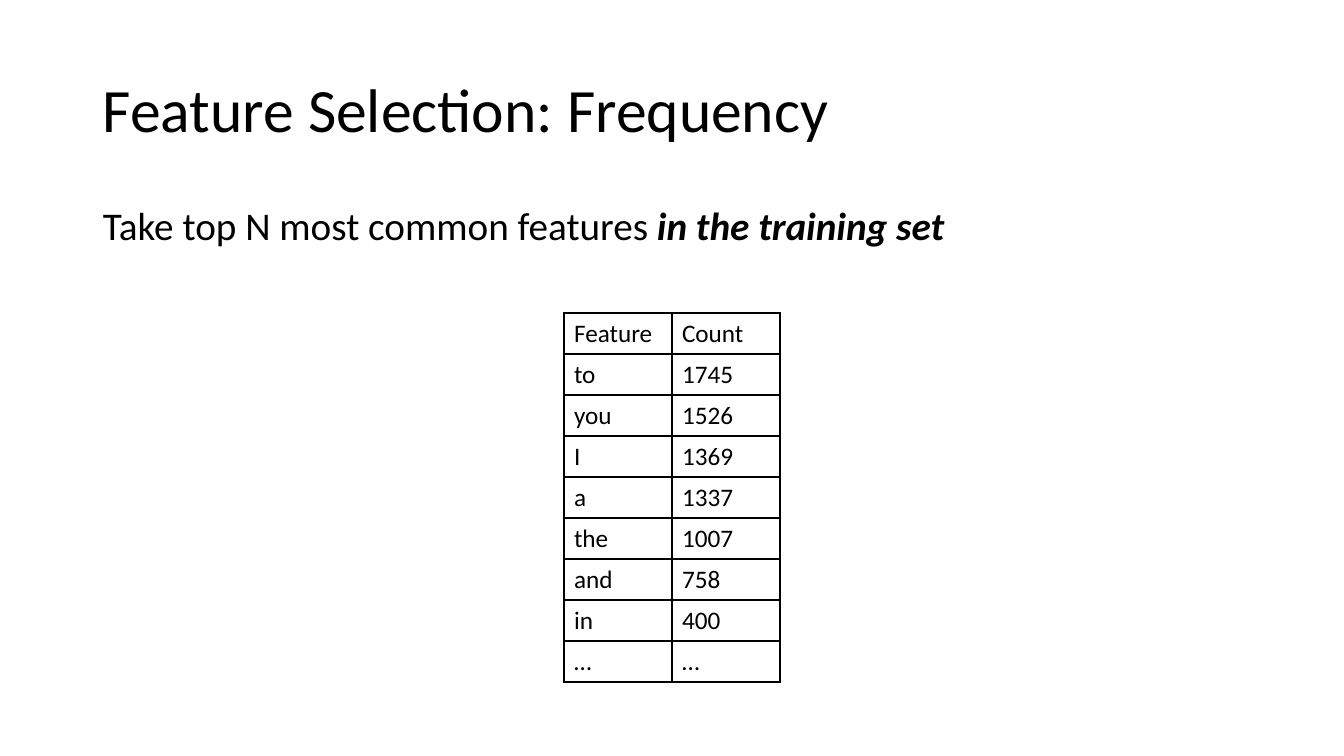
from lxml.etree import SubElement
from pptx import Presentation
from pptx.dml.color import RGBColor
from pptx.enum.text import MSO_ANCHOR
from pptx.oxml.ns import qn
from pptx.util import Emu, Pt

SCALE = 914400 / 100.8
FONT = "Calibri"
BLACK = "000000"
ROWS = [
    ("Feature", "Count"),
    ("to", "1745"),
    ("you", "1526"),
    ("I", "1369"),
    ("a", "1337"),
    ("the", "1007"),
    ("and", "758"),
    ("in", "400"),
    ("…", "…"),
]


def px(size):
    return Emu(round(size * SCALE))


def color(code):
    return RGBColor.from_string(code)


def style(run, size, strong=False):
    font = run.font
    font.name = FONT
    font.size = Pt(size)
    font.color.rgb = color(BLACK)
    if strong:
        font.bold = font.italic = True


def add_text(slide, box, parts, size, anchor, before=0):
    frame = slide.shapes.add_textbox(*map(px, box)).text_frame
    frame.word_wrap = True
    frame.vertical_anchor = anchor
    para = frame.paragraphs[0]
    para.line_spacing = 0.9
    para.space_before = Pt(before)
    for text, strong in parts:
        run = para.add_run()
        run.text = text
        style(run, size, strong)


def add_border(cell):
    props = cell._tc.get_or_add_tcPr()
    for side in ("lnL", "lnR", "lnT", "lnB"):
        line = SubElement(props, qn(f"a:{side}"), w=str(Pt(1)))
        fill = SubElement(line, qn("a:solidFill"))
        SubElement(fill, qn("a:srgbClr"), val=BLACK)


def add_grid(slide, left, top, width, height, rows, size):
    count = len(rows[0])
    box = (left, top, width * count, height * len(rows))
    table = slide.shapes.add_table(len(rows), count, *map(px, box)).table
    table.first_row = table.horz_banding = False
    for col in table.columns:
        col.width = px(width)
    for row, texts in zip(table.rows, rows):
        row.height = px(height)
        for cell, text in zip(row.cells, texts):
            cell.text_frame.text = text
            style(cell.text_frame.paragraphs[0].runs[0], size)
            add_border(cell)
            cell.fill.background()


def main():
    deck = Presentation()
    deck.slide_width, deck.slide_height = px(1344), px(756)
    slide = deck.slides.add_slide(deck.slide_layouts[6])
    add_text(slide, (93, 40, 1159, 146),
             [("Feature Selection: Frequency", False)], 44, MSO_ANCHOR.MIDDLE)
    add_text(slide, (93, 202, 1159, 480),
             [("Take top N most common features ", False),
              ("in the training set", True)], 28, MSO_ANCHOR.TOP, 10)
    add_grid(slide, 564, 313, 108, 41, ROWS, 18)
    deck.save("out.pptx")


if __name__ == "__main__":
    main()
